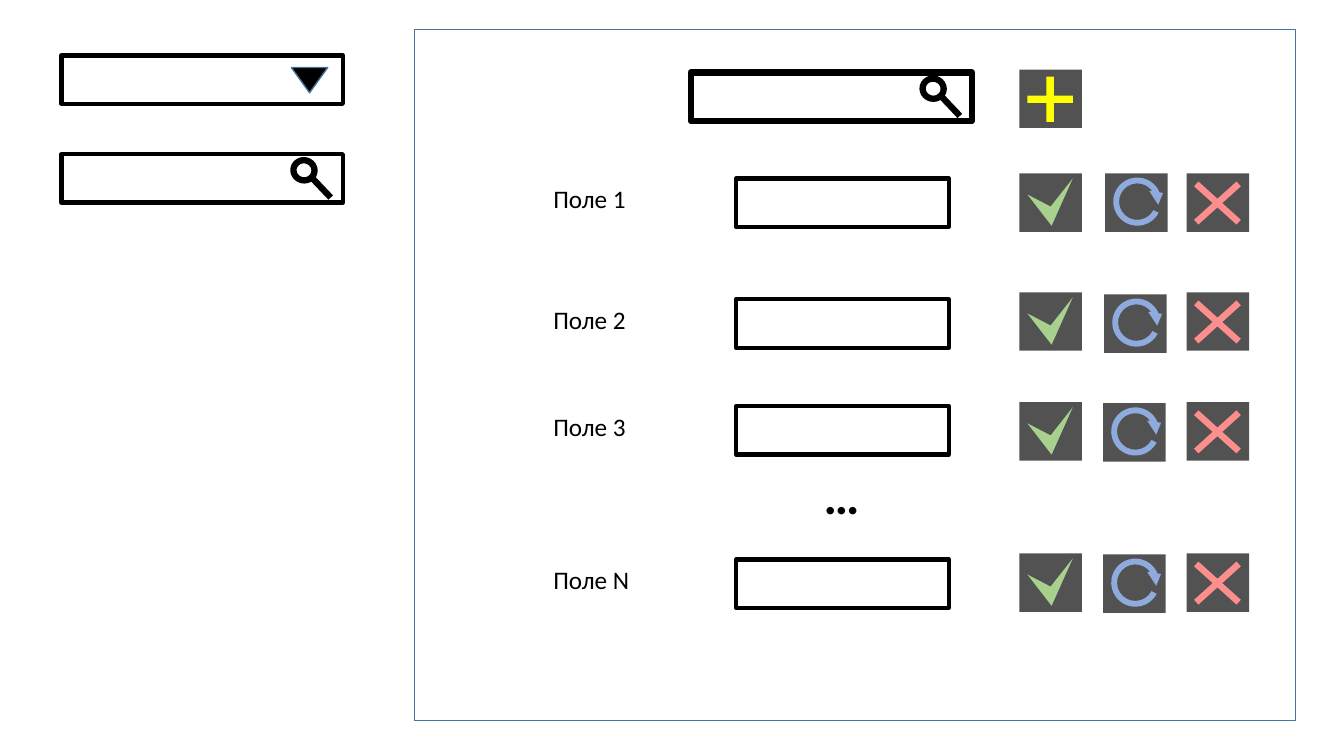
from lxml.etree import SubElement
from pptx import Presentation
from pptx.dml.color import RGBColor
from pptx.enum.shapes import MSO_CONNECTOR, MSO_SHAPE as Preset
from pptx.enum.text import MSO_AUTO_SIZE as AutoSize
from pptx.oxml.ns import qn
from pptx.util import Inches, Pt

BLACK = RGBColor(0x00, 0x00, 0x00)
BLUE = RGBColor(0x43, 0x73, 0x9E)
DARK_GRAY = RGBColor(0x52, 0x52, 0x52)
YELLOW = RGBColor(0xFF, 0xFF, 0x00)
GREEN = RGBColor(0xA9, 0xD1, 0x8E)
LIGHT_BLUE = RGBColor(0x8F, 0xAA, 0xDC)
RED = RGBColor(0xFC, 0x8E, 0x8E)

FONT = "Calibri"
FIELD_HEIGHT = 0.48
SEARCH_WIDTH = 2.79
ACCEPT_LEFT = 10.11
DELETE_LEFT = 11.77
CHECK_POINTS = [(0.32, 0.52), (0.08, 0.21), (0.31, 0.33), (0.53, 0.05)]

# label, field top, button top, refresh button left and top
ROWS = [
    ("Поле 1", 1.77, 1.72, 10.96, 1.72),
    ("Поле 2", 2.97, 2.9, 10.95, 2.92),
    ("Поле 3", 4.03, 3.99, 10.94, 4.0),
    ("Поле N", 5.55, 5.49, 10.94, 5.5),
]


def paint(shape, fill=None, line=None, line_width=1):
    """Set fill and outline; None leaves the part empty."""
    shape.shadow.inherit = False
    if fill is None:
        shape.fill.background()
    else:
        shape.fill.solid()
        shape.fill.fore_color.rgb = fill
    if line is None:
        shape.line.fill.background()
    else:
        shape.line.color.rgb = line
        shape.line.width = Pt(line_width)


def add_preset(shapes, preset, left, top, width, height, adjustments=(), rotation=0, **colors):
    shape = shapes.add_shape(preset, Inches(left), Inches(top), Inches(width), Inches(height))
    for index, value in enumerate(adjustments):
        shape.adjustments[index] = value
    shape.rotation = rotation
    paint(shape, **colors)


def add_field(shapes, left, top, width, line_width=3):
    add_preset(shapes, Preset.RECTANGLE, left, top, width, FIELD_HEIGHT,
               line=BLACK, line_width=line_width)


def add_text(shapes, text, left, top, width, height, size, bold=False, wrap=True):
    frame = shapes.add_textbox(Inches(left), Inches(top), Inches(width), Inches(height)).text_frame
    frame.word_wrap = wrap
    frame.auto_size = AutoSize.SHAPE_TO_FIT_TEXT
    run = frame.paragraphs[0].add_run()
    run.text = text
    run.font.name = FONT
    run.font.size = Pt(size)
    run.font.bold = bold
    run.font.color.rgb = BLACK


def add_magnifier(shapes, left, top):
    group = shapes.add_group_shape().shapes
    add_preset(group, Preset.FLOWCHART_CONNECTOR, left, top, 0.21, 0.2,
               rotation=13.5, line=BLACK, line_width=4.5)
    handle = group.add_connector(MSO_CONNECTOR.STRAIGHT, Inches(left + 0.19), Inches(top + 0.18),
                                 Inches(left + 0.37), Inches(top + 0.37))
    handle.line.color.rgb = BLACK
    handle.line.width = Pt(4.5)
    SubElement(handle.element.spPr, qn("a:effectLst"))


def add_button(shapes, left, top):
    """Add a dark button and return its group, ready for an icon."""
    group = shapes.add_group_shape().shapes
    add_preset(group, Preset.RECTANGLE, left, top, 0.62, 0.58, fill=DARK_GRAY)
    return group


def add_plus_button(shapes, left, top):
    group = add_button(shapes, left, top)
    add_preset(group, Preset.CROSS, left + 0.08, top + 0.07, 0.45, 0.45, [0.419], fill=YELLOW)


def add_accept_button(shapes, left, top):
    group = add_button(shapes, left, top)
    points = [(Inches(left + x), Inches(top + y)) for x, y in CHECK_POINTS]
    builder = group.build_freeform(*points[0])
    builder.add_line_segments(points[1:], close=True)
    paint(builder.convert_to_shape(), fill=GREEN)


def add_refresh_button(shapes, left, top):
    group = add_button(shapes, left, top)
    add_preset(group, Preset.CIRCULAR_ARROW, left + 0.04, top, 0.56, 0.56,
               [0.103, 21.586, 74.92, 108, 0.125], rotation=207.7, fill=LIGHT_BLUE)


def add_delete_button(shapes, left, top):
    group = add_button(shapes, left, top)
    add_preset(group, Preset.MATH_MULTIPLY, left - 0.1, top - 0.07, 0.81, 0.73, [0.088], fill=RED)


def add_dropdown(shapes, left, top):
    group = shapes.add_group_shape().shapes
    add_field(group, left, top, SEARCH_WIDTH)
    add_preset(group, Preset.ISOSCELES_TRIANGLE, left + 2.28, top + 0.12, 0.36, 0.25,
               rotation=180, fill=BLACK, line=BLUE)


def add_search(shapes, left, top, line_width):
    add_field(shapes, left, top, SEARCH_WIDTH, line_width)
    add_magnifier(shapes, left + 2.3, top + 0.06)


def add_row(shapes, label, field_top, button_top, refresh_left, refresh_top):
    add_text(shapes, label, 5.39, field_top, 1.46, 0.4, 18)
    add_field(shapes, 7.3, field_top, 2.11)
    add_accept_button(shapes, ACCEPT_LEFT, button_top)
    add_refresh_button(shapes, refresh_left, refresh_top)
    add_delete_button(shapes, DELETE_LEFT, button_top)


def main():
    presentation = Presentation()
    presentation.slide_width = Inches(13.33)
    presentation.slide_height = Inches(7.5)
    slide = presentation.slides.add_slide(presentation.slide_layouts[6])
    shapes = slide.shapes

    add_dropdown(shapes, 0.61, 0.55)
    add_search(shapes, 0.61, 1.53, 3)

    add_preset(shapes, Preset.RECTANGLE, 4.11, 0.29, 8.74, 6.86, line=BLUE)
    add_search(shapes, 6.85, 0.72, 4.5)
    add_plus_button(shapes, ACCEPT_LEFT, 0.69)
    for row in ROWS:
        add_row(shapes, *row)
    add_text(shapes, "…", 8.07, 4.56, 0.56, 0.71, 36, bold=True, wrap=False)

    presentation.save("out.pptx")


if __name__ == "__main__":
    main()
